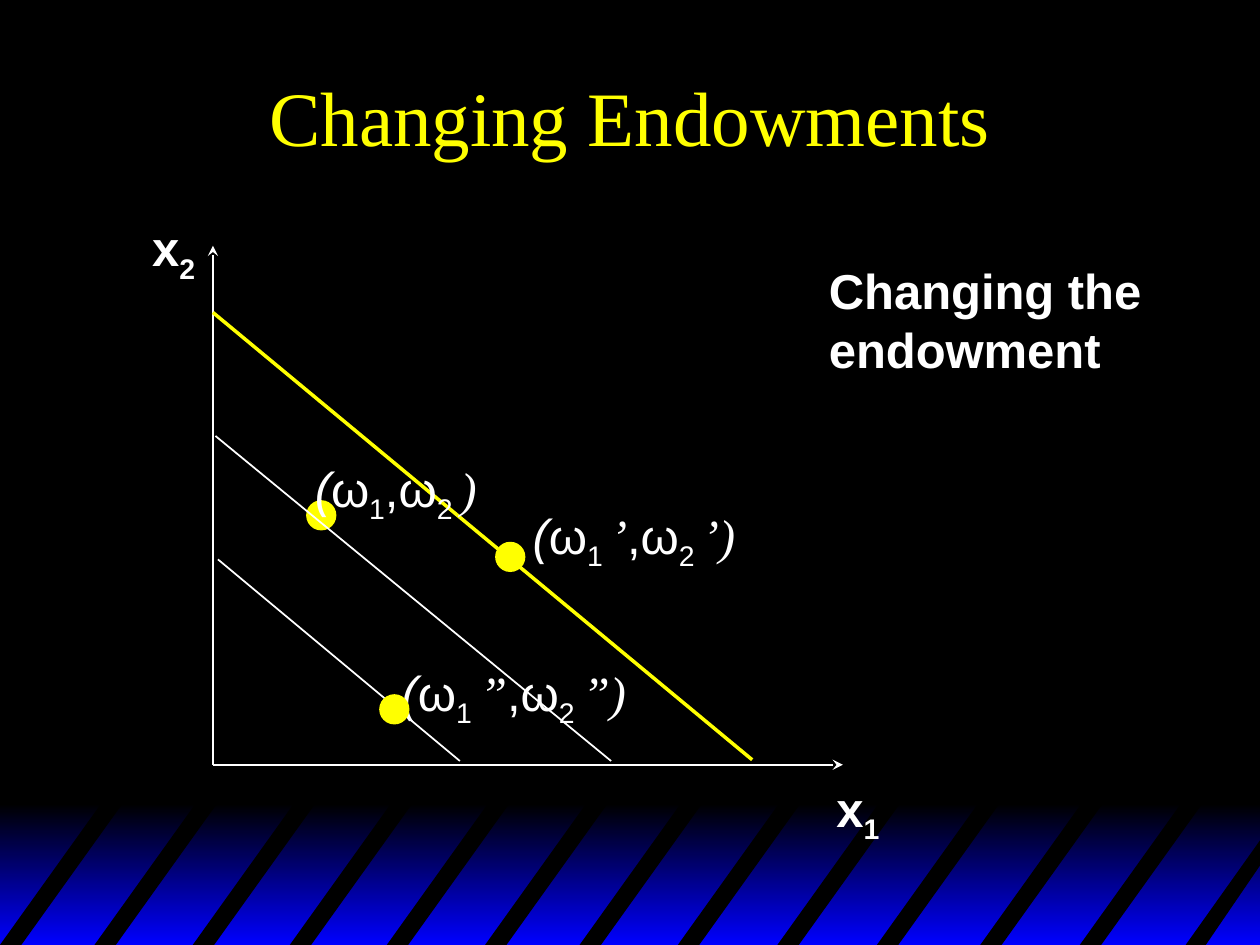
from typing import NamedTuple

from lxml import etree
from pptx import Presentation
from pptx.dml.color import RGBColor
from pptx.enum import shapes, text
from pptx.oxml import ns
from pptx.util import Inches, Pt

BLACK = RGBColor(0, 0, 0)
BLUE = RGBColor(0, 0, 255)
WHITE = RGBColor(255, 255, 255)
YELLOW = RGBColor(255, 255, 0)
SANS, SERIF = "Arial", "Times New Roman"

BOTTOM = 7.5
STRIPE_TOP = 6.34
STRIPE_WIDTH, STRIPE_SLANT = 0.17, 0.83
STRIPE_LEFTS = (0, 0.75, 1.53, 2.3, 3.07, 3.85, 4.6, 5.38, 6.17, 6.96, 7.78, 8.57)
DOT_SIZE = 0.24


class Point(NamedTuple):
    x: float
    y: float


class Box(NamedTuple):
    left: float
    top: float
    width: float
    height: float

    def lengths(self) -> list:
        return [Inches(value) for value in self]


class Piece(NamedTuple):
    """One run of a label."""
    content: str
    font: str = SANS
    bold: bool = False
    italic: bool = False
    subscript: bool = False


ORIGIN = Point(1.69, 6.07)


def add_polygon(slide, points: list[Point]) -> None:
    corners = [(Inches(x), Inches(y)) for x, y in points]
    builder = slide.shapes.build_freeform(*corners[0])
    builder.add_line_segments(corners[1:], close=True)
    shape = builder.convert_to_shape()
    shape.shadow.inherit = False
    shape.fill.solid()
    shape.fill.fore_color.rgb = BLACK
    shape.line.fill.background()


def add_striped_band(slide) -> None:
    band = slide.shapes.add_shape(
        shapes.MSO_SHAPE.RECTANGLE, *Box(0, 6.38, 10, 1.12).lengths())
    band.shadow.inherit = False
    band.line.fill.background()
    band.fill.gradient()
    band.fill.gradient_angle = 270
    for stop, color in zip(band.fill.gradient_stops, (BLACK, BLUE)):
        stop.color.rgb = color
    for stop, position in zip(band.fill.gradient_stops, (0, 1)):
        stop.position = position

    for left in STRIPE_LEFTS:
        top_left = left + STRIPE_SLANT
        add_polygon(slide, [
            Point(left, BOTTOM), Point(top_left, STRIPE_TOP),
            Point(top_left + STRIPE_WIDTH, STRIPE_TOP),
            Point(left + STRIPE_WIDTH, BOTTOM)])
    # The last stripe is cut off by the right edge.
    add_polygon(slide, [Point(9.41, BOTTOM), Point(10, 6.67),
                        Point(10, 6.87), Point(9.57, BOTTOM)])


def add_line(slide, start: Point, end: Point, color: RGBColor = WHITE,
             width: float = 1, arrow: bool = False) -> None:
    line = slide.shapes.add_connector(
        shapes.MSO_CONNECTOR.STRAIGHT,
        *(Inches(value) for value in (*start, *end)))
    line.line.color.rgb = color
    line.line.width = Pt(width)
    if arrow:
        etree.SubElement(line.line._get_or_add_ln(), ns.qn("a:tailEnd"),
                         type="stealth")
    etree.SubElement(line._element.spPr, ns.qn("a:effectLst"))


def add_dot(slide, left: float, top: float) -> None:
    dot = slide.shapes.add_shape(
        shapes.MSO_SHAPE.OVAL, *Box(left, top, DOT_SIZE, DOT_SIZE).lengths())
    dot.shadow.inherit = False
    dot.fill.solid()
    dot.fill.fore_color.rgb = YELLOW
    dot.line.fill.background()


def add_label(slide, box: Box, pieces: list[Piece], wrap: bool = True) -> None:
    frame = slide.shapes.add_textbox(*box.lengths()).text_frame
    frame.word_wrap = wrap
    frame.auto_size = text.MSO_AUTO_SIZE.SHAPE_TO_FIT_TEXT
    paragraph = frame.paragraphs[0]
    for piece in pieces:
        run = paragraph.add_run()
        run.text = piece.content
        run.font.name = piece.font
        run.font.size = Pt(28)
        run.font.bold = piece.bold
        run.font.italic = piece.italic
        run.font.color.rgb = WHITE
        if piece.subscript:
            run._r.get_or_add_rPr().set("baseline", "-25000")


def axis_name(index: str) -> list[Piece]:
    return [Piece("x", bold=True), Piece(index, bold=True, subscript=True)]


def endowment(mark: str = "") -> list[Piece]:
    """Pieces of (ω1,ω2) with a prime mark after each good."""
    first = [Piece("1 ", subscript=True), Piece(mark, SERIF, italic=True)]
    return [
        Piece("(", italic=True), Piece("ω"),
        *(first if mark else [Piece("1", subscript=True)]),
        Piece(",ω"), Piece("2 ", subscript=True),
        Piece(mark + ")", SERIF, italic=True)]


def add_title(slide, content: str) -> None:
    title = slide.shapes.title
    title.left, title.top, title.width, title.height = Box(
        0.75, 0.25, 8.5, 1.33).lengths()
    title.text_frame.vertical_anchor = text.MSO_ANCHOR.MIDDLE
    paragraph = title.text_frame.paragraphs[0]
    paragraph.alignment = text.PP_ALIGN.CENTER
    run = paragraph.add_run()
    run.text = content
    run.font.name = SERIF
    run.font.size = Pt(44)
    run.font.color.rgb = YELLOW


def main() -> None:
    presentation = Presentation()
    presentation.slide_width = Inches(10)
    presentation.slide_height = Inches(7.5)
    slide = presentation.slides.add_slide(presentation.slide_layouts[5])
    slide.background.fill.solid()
    slide.background.fill.fore_color.rgb = BLACK

    add_striped_band(slide)
    add_title(slide, "Changing Endowments")

    add_line(slide, ORIGIN, Point(ORIGIN.x, 1.95), arrow=True)
    add_line(slide, ORIGIN, Point(6.69, ORIGIN.y), arrow=True)
    add_label(slide, Box(1.11, 1.68, 0.54, 0.63), axis_name("2"), wrap=False)
    add_label(slide, Box(6.54, 6.13, 0.54, 0.63), axis_name("1"), wrap=False)

    # Higher endowment
    add_line(slide, Point(1.69, 2.48), Point(5.97, 6.03), YELLOW, 2)
    add_dot(slide, 3.93, 4.3)
    add_label(slide, Box(4.13, 3.96, 2.1, 0.63), endowment("’"))

    # Lower endowment
    add_line(slide, Point(1.73, 4.44), Point(3.65, 6.04))
    add_label(slide, Box(3.09, 5.21, 2.2, 0.63), endowment("”"))
    add_dot(slide, 3.01, 5.51)

    # Initial endowment
    add_dot(slide, 2.43, 3.97)
    add_line(slide, Point(1.71, 3.46), Point(4.85, 6.04))
    add_label(slide, Box(2.4, 3.59, 1.73, 0.63), endowment())

    add_label(slide, Box(6.48, 2.02, 3, 1.04),
              [Piece("Changing the endowment", bold=True)])

    presentation.save("out.pptx")


if __name__ == "__main__":
    main()
